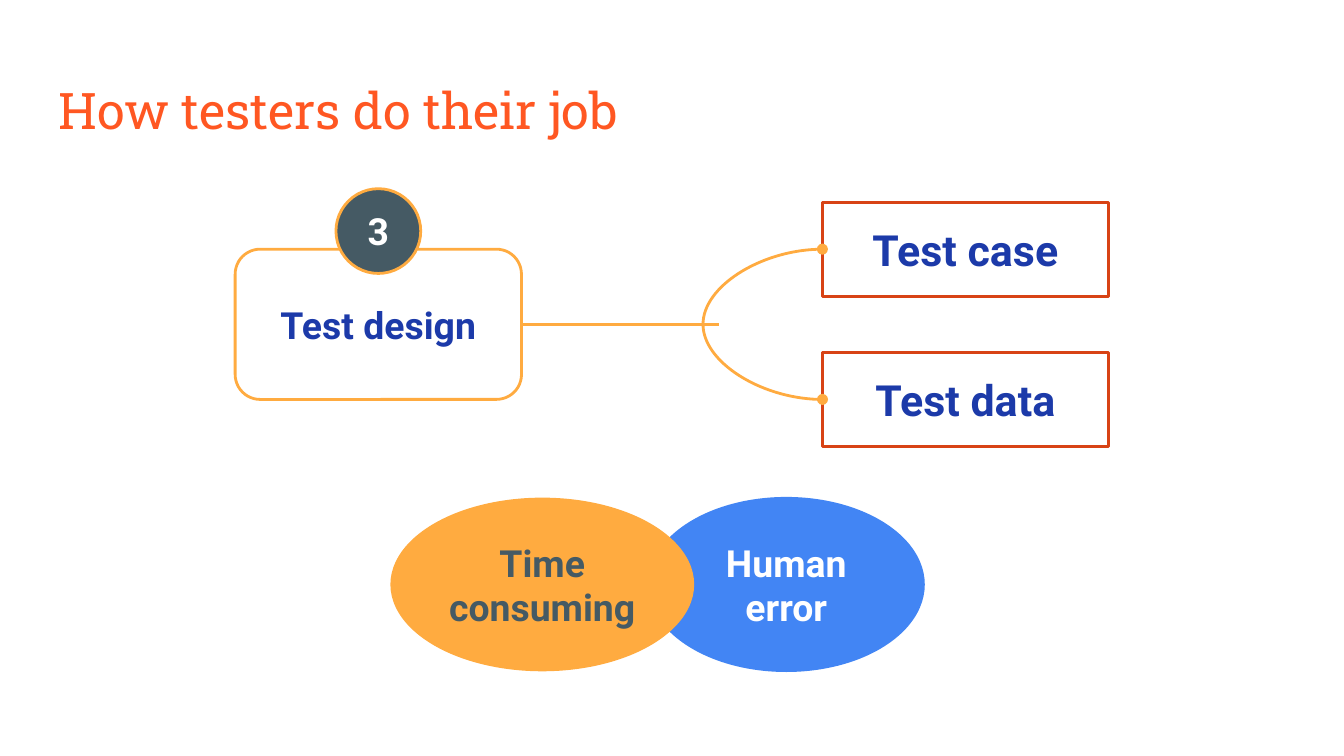
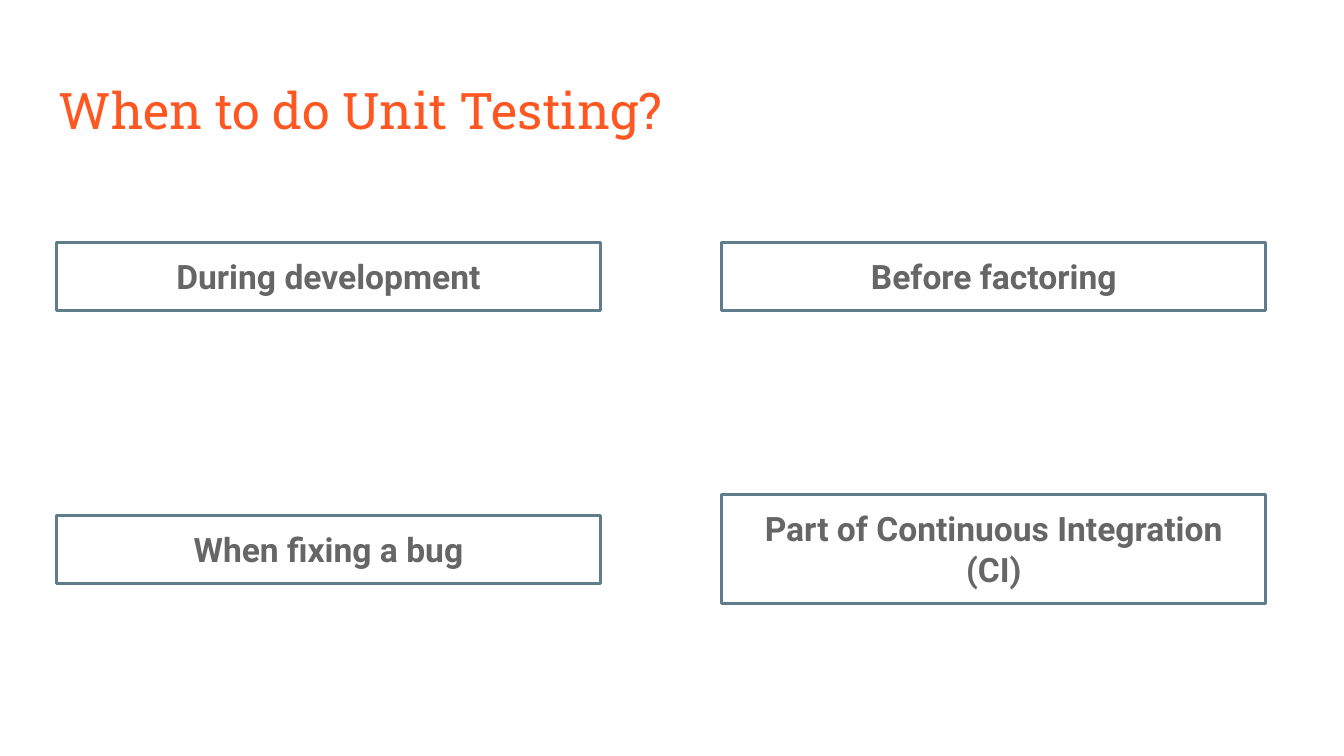
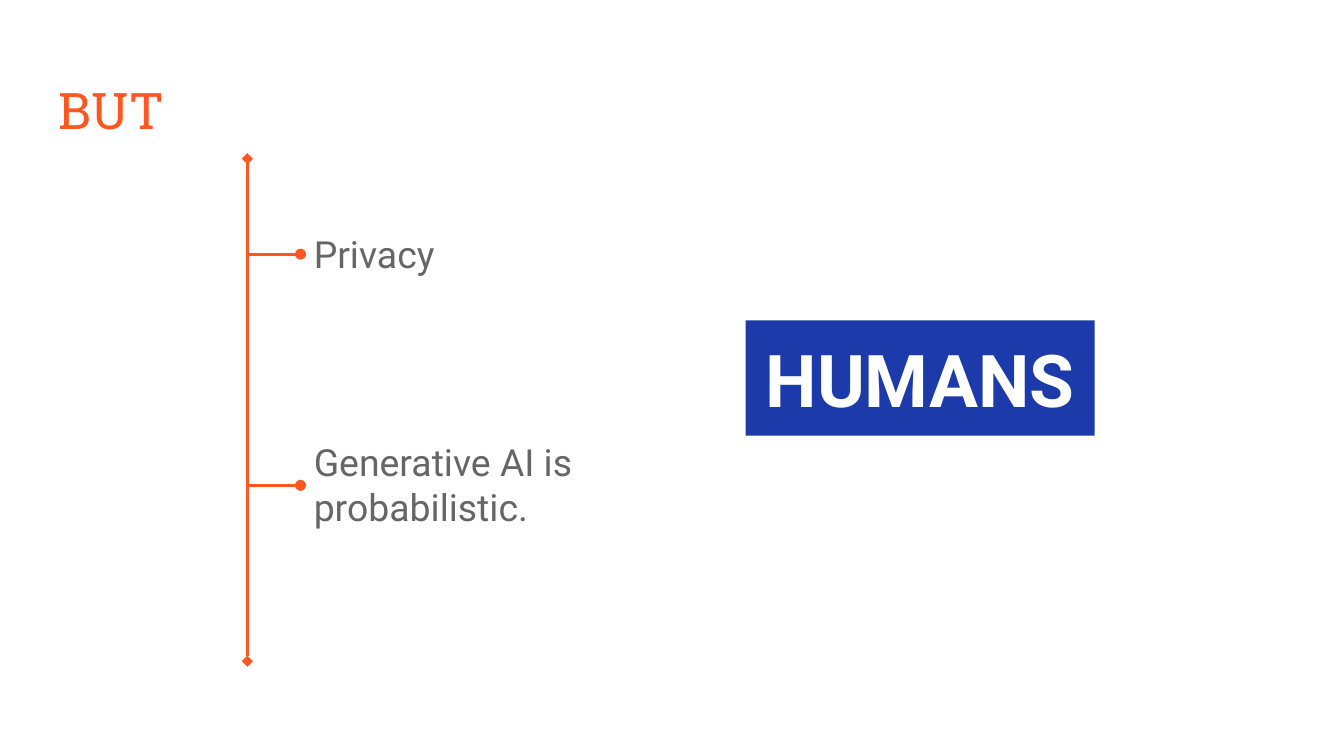
from pptx import Presentation
from pptx.dml.color import RGBColor
from pptx.enum.shapes import MSO_CONNECTOR, MSO_SHAPE
from pptx.enum.text import MSO_ANCHOR, MSO_AUTO_SIZE, PP_ALIGN
from pptx.oxml.ns import qn
from pptx.util import Pt
from lxml.etree import SubElement

WHITE = RGBColor(0xFF, 0xFF, 0xFF)
ORANGE = RGBColor(0xFF, 0x57, 0x22)
AMBER = RGBColor(0xFF, 0xAB, 0x40)
RUST = RGBColor(0xD8, 0x43, 0x15)
NAVY = RGBColor(0x1C, 0x3A, 0xA9)
BLUE = RGBColor(0x42, 0x85, 0xF4)
SLATE = RGBColor(0x45, 0x5A, 0x64)
STEEL = RGBColor(0x60, 0x7D, 0x8B)
GREY = RGBColor(0x66, 0x66, 0x66)

TITLE_FONT = "Roboto Slab"
BODY_FONT = "Roboto"
INSET = 7.2
LINE_WIDTH = 1.5


def write(box, text, size=20, color=GREY, font=BODY_FONT, bold=False,
          align=PP_ALIGN.LEFT, anchor=MSO_ANCHOR.TOP, grow=False):
    frame = box.text_frame
    frame.word_wrap = True
    frame.auto_size = MSO_AUTO_SIZE.SHAPE_TO_FIT_TEXT if grow else MSO_AUTO_SIZE.NONE
    frame.vertical_anchor = anchor
    frame.margin_left = frame.margin_right = Pt(INSET)
    frame.margin_top = frame.margin_bottom = Pt(INSET)
    para = frame.paragraphs[0]
    para.alignment = align
    span = para.add_run()
    span.text = text
    span.font.name = font
    span.font.size = Pt(size)
    span.font.bold = bold
    span.font.color.rgb = color


def add_text(shapes, left, top, width, height, text, **style):
    box = shapes.add_textbox(Pt(left), Pt(top), Pt(width), Pt(height))
    write(box, text, **style)


def add_label(shapes, kind, left, top, width, height, text, fill=None, line=None,
              line_width=LINE_WIDTH, anchor=MSO_ANCHOR.MIDDLE, **style):
    """Add a preset shape with bold centred text."""
    box = shapes.add_shape(kind, Pt(left), Pt(top), Pt(width), Pt(height))
    box.shadow.inherit = False
    if fill is None:
        box.fill.background()
    else:
        box.fill.solid()
        box.fill.fore_color.rgb = fill
    if line is None:
        box.line.fill.background()
    else:
        box.line.color.rgb = line
        box.line.width = Pt(line_width)
    write(box, text, bold=True, align=PP_ALIGN.CENTER, anchor=anchor, **style)


def add_line(shapes, start, end, color, kind=MSO_CONNECTOR.STRAIGHT, head=None, tail=None):
    line = shapes.add_connector(kind, *(Pt(value) for value in start + end))
    line.line.color.rgb = color
    line.line.width = Pt(LINE_WIDTH)
    outline = line.line._get_or_add_ln()
    for tag, cap in (("a:headEnd", head), ("a:tailEnd", tail)):
        if cap:
            SubElement(outline, qn(tag), type=cap, w="med", len="med")
    SubElement(line._element.spPr, qn("a:effectLst"))
    return line


def add_bracket(shapes, x, top, bottom, bulge):
    """Add a curve that bows to the left between two points at x."""
    sliver = 0.05
    curve = add_line(shapes, (x, top), (x + sliver, bottom), AMBER,
                     MSO_CONNECTOR.CURVE, head="oval", tail="oval")
    guides = curve._element.spPr.find(qn("a:prstGeom")).get_or_add_avLst()
    ratio = round(-bulge / sliver * 100000)
    SubElement(guides, qn("a:gd"), name="adj1", fmla=f"val {ratio}")


def add_page(deck, title):
    page = deck.slides.add_slide(deck.slide_layouts[6])
    page.background.fill.solid()
    page.background.fill.fore_color.rgb = WHITE
    add_text(page.shapes, 24.5, 35.2, 671, 45.2, title,
             size=27, color=ORANGE, font=TITLE_FONT)
    return page


def add_design_flow(shapes, left, top, width, height):
    """Add the numbered step and the two outcomes it branches into."""
    step_width, outcome_height, badge = 153.4, 50.4, 45.4
    middle = top + height / 2
    add_label(shapes, MSO_SHAPE.ROUNDED_RECTANGLE, left, top, step_width, height,
              "Test design", fill=WHITE, line=AMBER, color=NAVY)
    add_label(shapes, MSO_SHAPE.OVAL, left + (step_width - badge) / 2, top - 32.4,
              badge, badge, "3", fill=SLATE, line=AMBER, color=WHITE)
    outcome_left = left + width - step_width
    for text, center in (("Test case", top), ("Test data", top + height)):
        add_label(shapes, MSO_SHAPE.RECTANGLE, outcome_left, center - outcome_height / 2,
                  step_width, outcome_height, text,
                  fill=WHITE, line=RUST, size=23, color=NAVY)
    add_bracket(shapes, outcome_left, top, top + height, bulge=56.4)
    add_line(shapes, (left + step_width, middle), (outcome_left - 55.4, middle), AMBER)


def add_drawbacks(shapes, left, top, width, height):
    """Add two overlapping ellipses that span the box."""
    time_width, error_width = 162, 146.9
    add_label(shapes, MSO_SHAPE.OVAL, left + width - error_width, top, error_width, height,
              "Human error", fill=BLUE, line=BLUE, color=WHITE)
    add_label(shapes, MSO_SHAPE.OVAL, left, top, time_width, height, "Time consuming",
              fill=AMBER, line=AMBER, line_width=0.75, color=SLATE)


def add_occasions(shapes, left, top, width, row_gap, rows):
    """Add a grid of outlined labels, each centred on its row."""
    cell_width, line_height = 291.6, 22
    for row, cells in enumerate(rows):
        for column, (text, line_count) in enumerate(cells):
            height = line_count * line_height + 2 * INSET
            add_label(shapes, MSO_SHAPE.RECTANGLE,
                      left + column * (width - cell_width),
                      top + row * row_gap - height / 2, cell_width, height, text,
                      line=STEEL, size=18, color=GREY, anchor=MSO_ANCHOR.TOP, grow=True)


def add_concerns(shapes, left, top, height, concerns):
    """Add a vertical spine with a branch and a text for each concern."""
    branch, text_width = 28.5, 171.4
    add_line(shapes, (left, top), (left, top + height), ORANGE,
             head="diamond", tail="diamond")
    for text, offset, text_height in concerns:
        group = shapes.add_group_shape().shapes
        center = top + offset
        add_text(group, left + branch, center - text_height / 2, text_width, text_height,
                 text, grow=True)
        add_line(group, (left + branch, center), (left, center), ORANGE, head="oval")


def main():
    deck = Presentation()
    deck.slide_width, deck.slide_height = Pt(720), Pt(405)

    page = add_page(deck, "How testers do their job")
    add_design_flow(page.shapes, 126, 133.5, 468, 80.5)
    add_drawbacks(page.shapes, 209.5, 267, 285.2, 92.3)

    page = add_page(deck, "When to do Unit Testing?")
    add_occasions(page.shapes, 30.2, 148.3, 648, 146, [
        [("During development", 1), ("Before factoring", 1)],
        [("When fixing a bug", 1), ("Part of Continuous Integration (CI)", 2)],
    ])

    page = add_page(deck, "BUT")
    add_concerns(page.shapes, 132.5, 85, 269.2, [
        ("Privacy", 51.2, 39),
        ("Generative AI is probabilistic.", 175, 63.4),
    ])
    add_label(page.shapes, MSO_SHAPE.RECTANGLE, 399.4, 171.6, 187, 61.8, "HUMANS",
              fill=NAVY, size=39, color=WHITE)

    deck.save("out.pptx")


if __name__ == "__main__":
    main()
